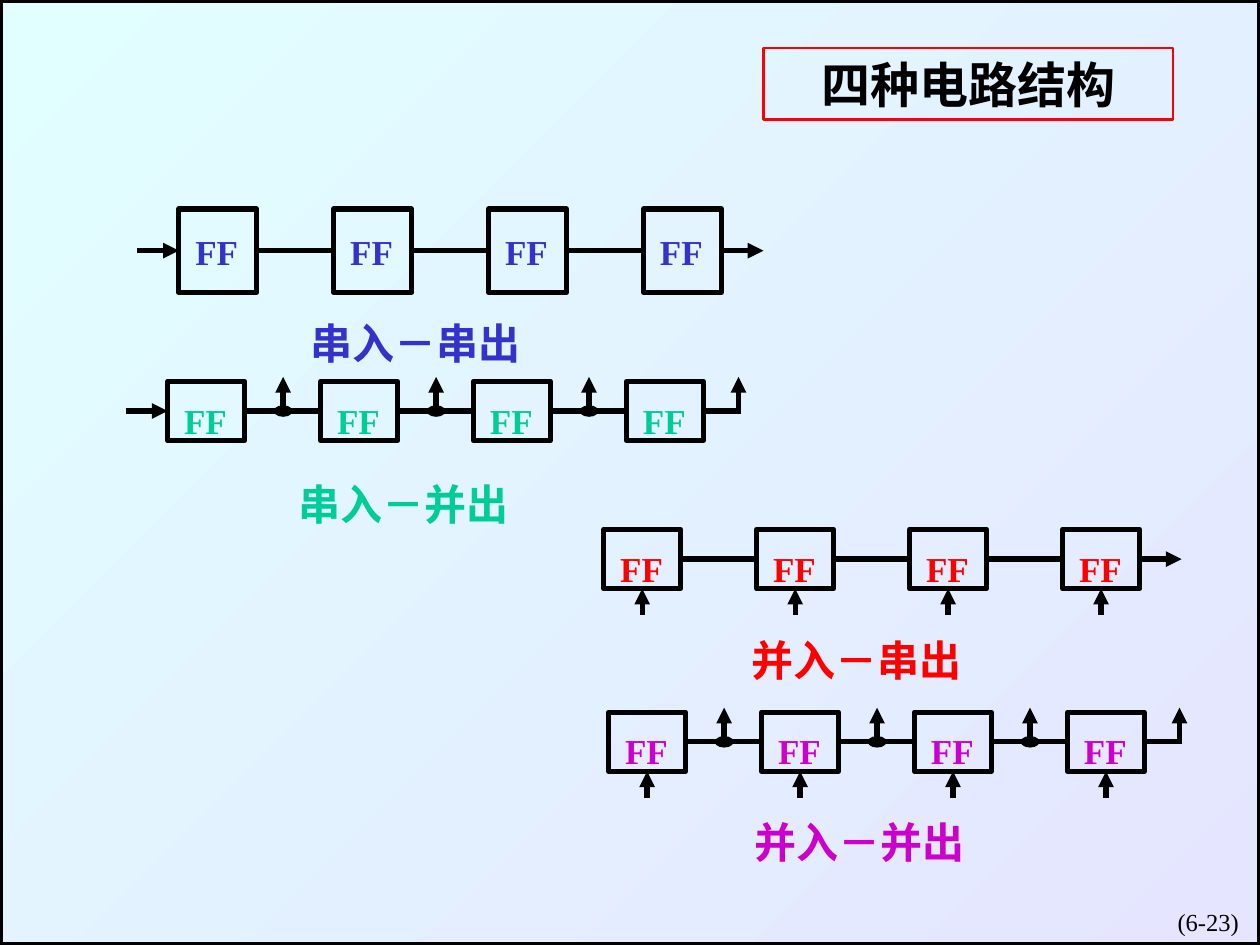
from dataclasses import dataclass

from lxml import etree
from pptx import Presentation
from pptx.dml.color import RGBColor
from pptx.enum.shapes import MSO_CONNECTOR, MSO_SHAPE
from pptx.enum.text import MSO_ANCHOR, PP_ALIGN
from pptx.oxml.ns import qn
from pptx.util import Pt

FONT = "Times New Roman"
BLACK = "000000"
STAGES = 4
TAP_OFFSET = 66       # from a box's left edge to its output tap
LAST_TAP_OFFSET = 64
TAP_HEIGHT = 19.5
SERIAL_LENGTH = 24
INPUT_LENGTH = 15
TOP, LEFT, BOTTOM, RIGHT = range(4)


@dataclass
class Register:
    label: str
    color: str
    left: float
    top: float
    label_left: float
    label_top: float
    parallel_in: bool
    parallel_out: bool
    width: float = 44
    height: float = 33.8
    pitch: float = 87.4
    text_drop: float = 6.5


REGISTERS = [
    Register("串入－串出", "3333CC", 102.2, 119.5, 170.6, 177.8, False, False,
             width=44.6, height=47.5, pitch=88.5, text_drop=8.6),
    Register("串入－并出", "00CC99", 95.8, 218, 163.4, 270, False, True),
    Register("并入－串出", "FF0000", 345, 302.6, 422.6, 359.3, True, False),
    Register("并入－并出", "CC00CC", 347.8, 407, 424.1, 463, True, True),
]


def rgb(color):
    return RGBColor.from_string(color)


def add_outline(shapes, kind, left, top, width, height, color, weight):
    shape = shapes.add_shape(kind, Pt(left), Pt(top), Pt(width), Pt(height))
    shape.shadow.inherit = False
    shape.fill.background()
    shape.line.color.rgb = rgb(color)
    shape.line.width = Pt(weight)
    return shape


def write(shape, text, size, color, bold=True, align=PP_ALIGN.LEFT):
    frame = shape.text_frame
    frame.text = text
    frame.word_wrap = True
    paragraph = frame.paragraphs[0]
    paragraph.alignment = align
    font = paragraph.runs[0].font
    font.name, font.size, font.bold = FONT, Pt(size), bold
    font.color.rgb = rgb(color)


def add_label(shapes, left, top, width, height, text, size, color, **style):
    label = shapes.add_textbox(Pt(left), Pt(top), Pt(width), Pt(height))
    write(label, text, size, color, **style)


def add_wire(shapes, start, end, arrow=False):
    """Draw a wire; each end is an (x, y) point or a (box, side) pair."""
    wire = shapes.add_connector(MSO_CONNECTOR.STRAIGHT, 0, 0, 0, 0)
    if isinstance(start[0], (int, float)):
        wire.begin_x, wire.begin_y = Pt(start[0]), Pt(start[1])
    else:
        wire.begin_connect(*start)
    if isinstance(end[0], (int, float)):
        wire.end_x, wire.end_y = Pt(end[0]), Pt(end[1])
    else:
        wire.end_connect(*end)
    wire.line.color.rgb = rgb(BLACK)
    wire.line.width = Pt(3)
    if arrow:
        etree.SubElement(wire.line._get_or_add_ln(), qn("a:tailEnd"), type="triangle")
    etree.SubElement(wire._element.spPr, qn("a:effectLst"))


def add_junction(shapes, x, y):
    dot = add_outline(shapes, MSO_SHAPE.OVAL, x - 5, y - 2.9, 10, 5.8, BLACK, 0.75)
    dot.fill.solid()
    dot.fill.fore_color.rgb = rgb(BLACK)


def add_register(slide, reg):
    shapes = slide.shapes.add_group_shape().shapes
    lefts = [reg.left + i * reg.pitch for i in range(STAGES)]
    middle = reg.top + reg.height / 2
    bottom = reg.top + reg.height
    right = lefts[-1] + reg.width

    # Flip-flops and the wires between them
    boxes = [add_outline(shapes, MSO_SHAPE.RECTANGLE, left, reg.top,
                         reg.width, reg.height, BLACK, 3) for left in lefts]
    for box, following in zip(boxes, boxes[1:]):
        add_wire(shapes, (box, RIGHT), (following, LEFT))
    for left in lefts:
        add_label(shapes, left + 2.3, reg.top + reg.text_drop, 48.5, 31.7,
                  "FF", 20, reg.color)

    # Inputs
    if reg.parallel_in:
        for left, box in zip(lefts, boxes):
            add_wire(shapes, (left + reg.width / 2, bottom + INPUT_LENGTH),
                     (box, BOTTOM), arrow=True)
    else:
        add_wire(shapes, (reg.left - SERIAL_LENGTH, middle), (boxes[0], LEFT), arrow=True)

    # Outputs
    if reg.parallel_out:
        last_tap = lefts[-1] + LAST_TAP_OFFSET
        taps = [left + TAP_OFFSET for left in lefts[:-1]]
        add_wire(shapes, (boxes[-1], RIGHT), (last_tap + 1.5, middle))
        for x in taps + [last_tap]:
            add_wire(shapes, (x, middle), (x, middle - TAP_HEIGHT), arrow=True)
        for x in taps:
            add_junction(shapes, x, middle)
    else:
        add_wire(shapes, (boxes[-1], RIGHT), (right + SERIAL_LENGTH, middle), arrow=True)

    add_label(slide.shapes, reg.label_left, reg.label_top, 151, 36,
              reg.label, 24, reg.color)


def add_backdrop(slide):
    backdrop = add_outline(slide.shapes, MSO_SHAPE.RECTANGLE, 0, 0, 720, 540, BLACK, 3)
    backdrop.fill.gradient()
    backdrop.fill.gradient_angle = 315
    for stop, color in zip(backdrop.fill.gradient_stops, ("E1FFFF", "E5E5FF")):
        stop.color.rgb = rgb(color)


def main():
    prs = Presentation()
    prs.slide_width, prs.slide_height = Pt(720), Pt(540)
    slide = prs.slides.add_slide(prs.slide_layouts[6])

    # Backdrop, page number and title
    add_backdrop(slide)
    add_label(slide.shapes, 565.2, 514.8, 149.8, 36, "(6-23)", 14, BLACK,
              bold=False, align=PP_ALIGN.RIGHT)
    title = add_outline(slide.shapes, MSO_SHAPE.RECTANGLE, 436.3, 27.4, 234, 41,
                        "FF0000", 1.5)
    write(title, "四种电路结构", 28, BLACK, align=PP_ALIGN.CENTER)
    title.text_frame.vertical_anchor = MSO_ANCHOR.MIDDLE

    # The four shift registers
    for reg in REGISTERS:
        add_register(slide, reg)

    prs.save("out.pptx")


if __name__ == "__main__":
    main()
